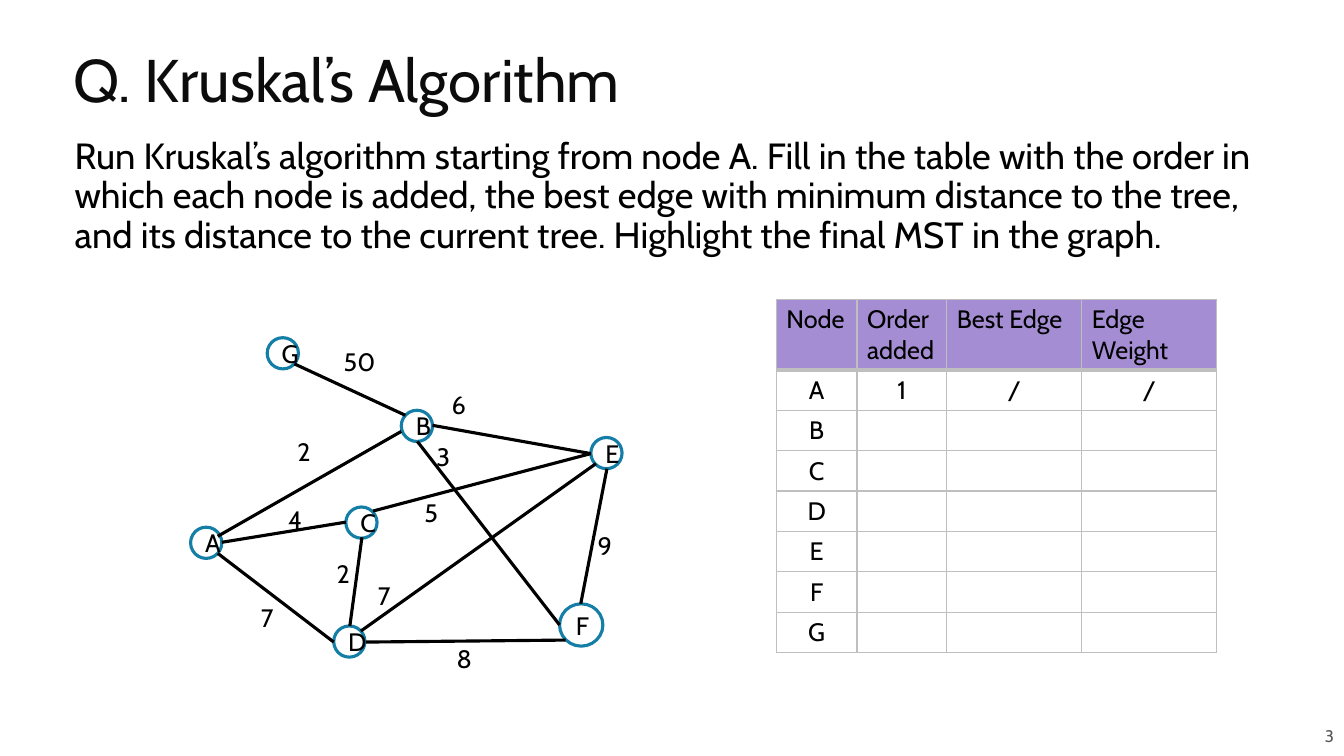
from dataclasses import dataclass

from lxml import etree
from pptx import Presentation
from pptx import util as u
from pptx.dml.color import RGBColor
from pptx.enum import shapes, text
from pptx.oxml.ns import qn

BLACK = RGBColor(0x00, 0x00, 0x00)
WHITE = RGBColor(0xFF, 0xFF, 0xFF)
TITLE_BLACK = RGBColor(0x0C, 0x0C, 0x0C)
NUMBER_GREY = RGBColor(0x59, 0x59, 0x59)
NODE_BLUE = RGBColor(0x14, 0x7E, 0xA6)
HEADER_PURPLE = RGBColor(0xA4, 0x8D, 0xD3)
BORDER_GREY = RGBColor(0xBF, 0xBF, 0xBF)

FONT = "Cabin"
LEFT, CENTER, RIGHT = text.PP_ALIGN.LEFT, text.PP_ALIGN.CENTER, text.PP_ALIGN.RIGHT
TOP, MIDDLE = text.MSO_ANCHOR.TOP, text.MSO_ANCHOR.MIDDLE


@dataclass
class Node:
    name: str
    left: float
    top: float
    width: float = 0.31
    height: float = 0.31


@dataclass
class Edge:
    start: tuple[float, float]
    end: tuple[float, float]


@dataclass
class Weight:
    value: str
    left: float
    top: float
    width: float = 0.35


@dataclass
class TextBlock:
    content: str
    left: float
    top: float
    width: float
    height: float
    size: int = 18
    color: RGBColor = BLACK
    align: text.PP_ALIGN = LEFT
    anchor: text.MSO_ANCHOR = TOP
    inset: tuple[float, float] = (0.1, 0.05)
    line_spacing: float = 1.0
    indent: float = 0


TEXT_BLOCKS = [
    TextBlock("3", 8.65, 7.1, 4.68, 0.4, 12, NUMBER_GREY, RIGHT, MIDDLE, inset=(0.1, 0.1)),
    TextBlock("Q. Kruskal’s Algorithm", 0.63, 0.29, 12.23, 1.11, 43, TITLE_BLACK,
              anchor=MIDDLE, line_spacing=0.8),
    TextBlock("Run Kruskal’s algorithm starting from node A. Fill in the table with the "
              "order in which each node is added, the best edge with minimum distance to "
              "the tree, and its distance to the current tree. Highlight the final MST in "
              "the graph.", 0.62, 1.32, 12.23, 1.45, 26,
              inset=(0.05, 0.05), line_spacing=0.9, indent=0.07),
]

NODES = [
    Node("A", 1.89, 5.23),
    Node("B", 3.98, 4.07),
    Node("C", 3.43, 5.03),
    Node("D", 3.31, 6.21),
    Node("E", 5.86, 4.34),
    Node("F", 5.55, 5.99, 0.43, 0.42),
    Node("G", 2.65, 3.35),
]

EDGES = [
    Edge((3.98, 4.28), (2.16, 5.32)),  # B-A
    Edge((2.16, 5.49), (3.31, 6.37)),  # A-D
    Edge((3.47, 6.21), (3.59, 5.33)),  # D-C
    Edge((3.43, 5.18), (2.2, 5.38)),   # C-A
    Edge((3.7, 5.07), (5.86, 4.5)),    # C-E
    Edge((6.02, 4.65), (5.76, 5.99)),  # E-F
    Edge((5.61, 6.35), (3.63, 6.37)),  # F-D
    Edge((5.86, 4.5), (4.29, 4.22)),   # E-B
    Edge((5.91, 4.6), (3.58, 6.26)),   # E-D
    Edge((4.14, 4.38), (5.55, 6.2)),   # B-F
    Edge((4.02, 4.12), (2.92, 3.61)),  # B-G
]

WEIGHTS = [
    Weight("50", 3.31, 3.39, 0.58),
    Weight("6", 4.38, 3.81),
    Weight("3", 4.23, 4.33),
    Weight("4", 2.76, 4.95),
    Weight("7", 2.49, 5.93),
    Weight("2", 3.24, 5.49),
    Weight("8", 4.43, 6.33),
    Weight("9", 5.83, 5.21),
    Weight("5", 4.11, 4.88, 0.44),
    Weight("7", 3.65, 5.71),
    Weight("2", 2.85, 4.28, 0.58),
]

HEADERS = ["Node", "Order added", "Best Edge", "Edge Weight"]
FIRST_STEP = ["A", "1", "/", "/"]
COLUMN_WIDTHS = [0.8, 0.89, 1.34, 1.34]
HEADER_HEIGHT = 0.7
ROW_HEIGHT = 0.4


def format_paragraph(paragraph, size: int, color: RGBColor, align: text.PP_ALIGN) -> None:
    paragraph.alignment = align
    for run in paragraph.runs:
        run.font.name = FONT
        run.font.size = u.Pt(size)
        run.font.color.rgb = color


def draw_text(slide, block: TextBlock) -> None:
    box = slide.shapes.add_textbox(u.Inches(block.left), u.Inches(block.top),
                                   u.Inches(block.width), u.Inches(block.height))
    frame = box.text_frame
    frame.text = block.content
    frame.word_wrap = True
    frame.vertical_anchor = block.anchor
    frame.margin_left = frame.margin_right = u.Inches(block.inset[0])
    frame.margin_top = frame.margin_bottom = u.Inches(block.inset[1])
    paragraph = frame.paragraphs[0]
    paragraph.line_spacing = block.line_spacing
    if block.indent:
        paragraph._p.get_or_add_pPr().set("marL", str(u.Inches(block.indent)))
    format_paragraph(paragraph, block.size, block.color, block.align)


def draw_node(slide, node: Node) -> None:
    shape = slide.shapes.add_shape(shapes.MSO_SHAPE.OVAL, u.Inches(node.left), u.Inches(node.top),
                                   u.Inches(node.width), u.Inches(node.height))
    shape.shadow.inherit = False
    shape.fill.solid()
    shape.fill.fore_color.rgb = WHITE
    shape.line.color.rgb = NODE_BLUE
    shape.line.width = u.Pt(2.25)
    shape.text_frame.text = node.name
    shape.text_frame.word_wrap = True
    shape.text_frame.vertical_anchor = MIDDLE
    format_paragraph(shape.text_frame.paragraphs[0], 18, BLACK, CENTER)


def draw_edge(slide, edge: Edge) -> None:
    ends = [u.Inches(value) for value in (*edge.start, *edge.end)]
    connector = slide.shapes.add_connector(shapes.MSO_CONNECTOR.STRAIGHT, *ends)
    connector.line.color.rgb = BLACK
    connector.line.width = u.Pt(2.25)
    etree.SubElement(connector._element.spPr, qn("a:effectLst"))


def set_borders(cell, top_width: float, bottom_width: float) -> None:
    properties = cell._tc.get_or_add_tcPr()
    for side, width in (("L", 1), ("R", 1), ("T", top_width), ("B", bottom_width)):
        line = etree.SubElement(properties, qn(f"a:ln{side}"), w=str(u.Pt(width)))
        fill = etree.SubElement(line, qn("a:solidFill"))
        etree.SubElement(fill, qn("a:srgbClr"), val=str(BORDER_GREY))


def draw_table(slide, rows: list[list[str]]) -> None:
    heights = [HEADER_HEIGHT] + [ROW_HEIGHT] * (len(rows) - 1)
    table = slide.shapes.add_table(
        len(rows), len(HEADERS), u.Inches(7.7), u.Inches(2.97),
        u.Inches(sum(COLUMN_WIDTHS)), u.Inches(sum(heights))).table
    table.first_row = table.horz_banding = False
    for column, width in zip(table.columns, COLUMN_WIDTHS):
        column.width = u.Inches(width)
    for row_index, row in enumerate(rows):
        is_header = row_index == 0
        table.rows[row_index].height = u.Inches(heights[row_index])
        for column_index, content in enumerate(row):
            cell = table.cell(row_index, column_index)
            set_borders(cell, 3 if row_index == 1 else 1, 3 if is_header else 1)
            cell.fill.solid()
            cell.fill.fore_color.rgb = HEADER_PURPLE if is_header else WHITE
            cell.text_frame.text = content
            format_paragraph(cell.text_frame.paragraphs[0], 18, BLACK,
                             LEFT if is_header else CENTER)


def main() -> None:
    presentation = Presentation()
    presentation.slide_width = u.Inches(13.33)
    presentation.slide_height = u.Inches(7.5)
    slide = presentation.slides.add_slide(presentation.slide_layouts[6])

    # Slide number, title and task
    for block in TEXT_BLOCKS:
        draw_text(slide, block)

    # Weighted graph
    for node in NODES:
        draw_node(slide, node)
    for edge in EDGES:
        draw_edge(slide, edge)
    for weight in WEIGHTS:
        draw_text(slide, TextBlock(weight.value, weight.left, weight.top, weight.width, 0.4))

    # Answer table: one row per node, only the first step filled in
    unanswered = [[node.name, "", "", ""] for node in NODES[1:]]
    draw_table(slide, [HEADERS, FIRST_STEP, *unanswered])

    presentation.save("out.pptx")


if __name__ == "__main__":
    main()
